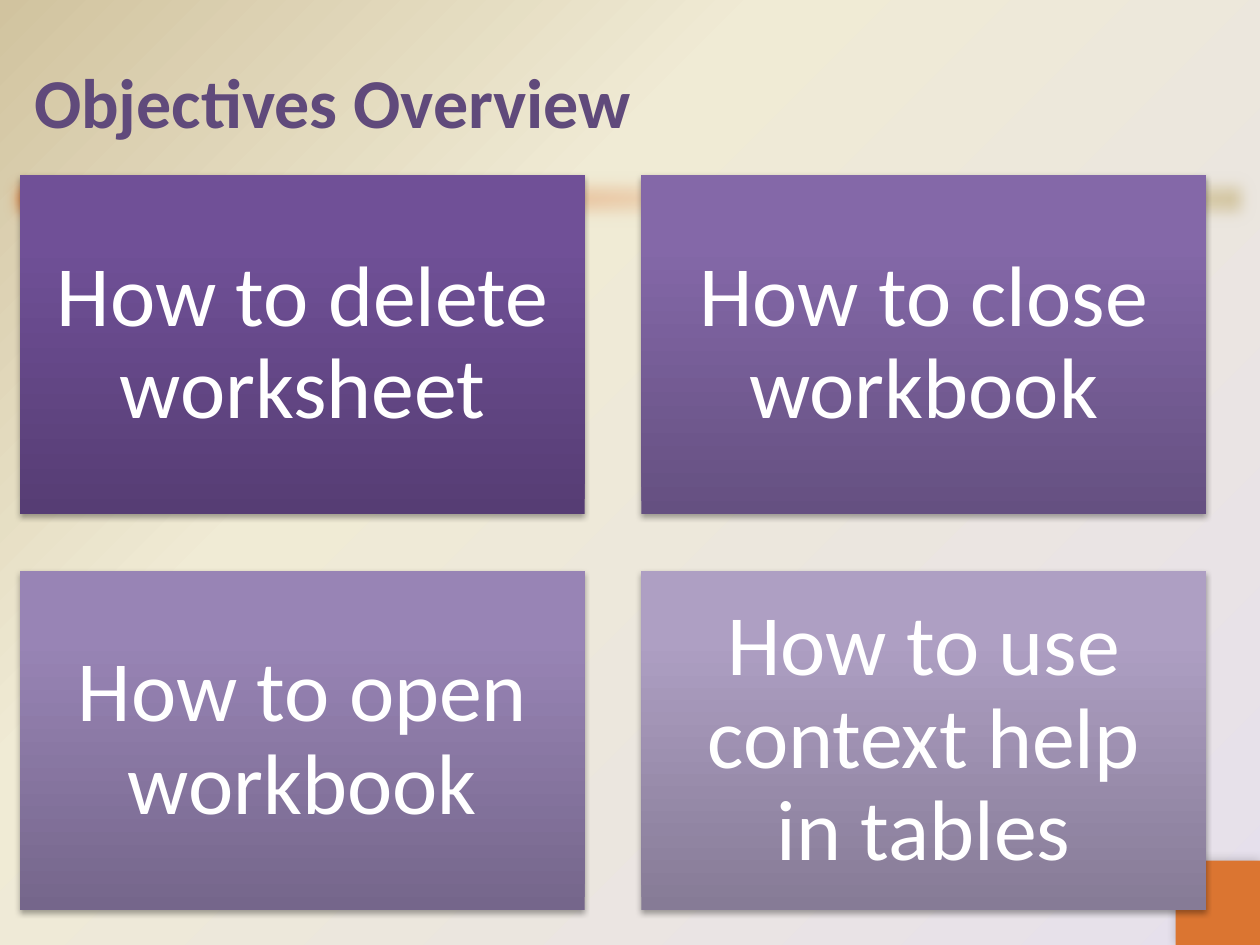
from dataclasses import dataclass

from lxml import etree
from pptx import Presentation
from pptx.dml.color import RGBColor
from pptx.enum.shapes import MSO_SHAPE
from pptx.enum.text import MSO_ANCHOR, PP_ALIGN
from pptx.oxml import parse_xml
from pptx.oxml.ns import nsdecls, qn
from pptx.util import Inches, Pt

RECTANGLE = MSO_SHAPE.RECTANGLE
MIDDLE = MSO_ANCHOR.MIDDLE
LEFT, CENTER = PP_ALIGN.LEFT, PP_ALIGN.CENTER

FONT = "Calibri"
COLORS = {
    "lilac": "E6E0EC",
    "cream": "F0EBD5",
    "sand": "D1C39F",
    "orange": "DB7531",
    "title": "604A7B",
    "white": "FFFFFF",
    "black": "000000",
}
LINEAR = '<a:lin ang="{}" scaled="0"/>'
FROM_BOTTOM_RIGHT = '<a:path path="circle"><a:fillToRect l="100000" t="100000"/></a:path>'

COLUMNS = 2
CARD_LEFT, CARD_TOP = 0.16, 1.39
CARD_WIDTH, CARD_HEIGHT = 4.48, 2.69
CARD_GAP = 0.45


@dataclass
class Objective:
    text: str
    gradient: tuple[str, str, str]


@dataclass
class Shadow:
    opacity: int
    blur: float
    distance: float
    angle: int


OBJECTIVES = [
    Objective("How to delete worksheet", ("563D74", "705097", "704F99")),
    Objective("How to close workbook", ("655081", "8468A8", "8467AA")),
    Objective("How to open workbook", ("75668B", "9884B5", "9984B7")),
    Objective("How to use context help in tables", ("867B96", "AE9FC3", "AE9FC4")),
]
CARD_SHADOW = Shadow(opacity=35, blur=3.1, distance=1.8, angle=90)
CORNER_SHADOW = Shadow(opacity=20, blur=6, distance=0, angle=225)


def set_gradient(properties, colors: tuple[str, str, str], middle: int, direction: str) -> None:
    """Replace the solid fill in a properties element by a three-stop gradient."""
    stops = "".join(
        f'<a:gs pos="{position * 1000}"><a:srgbClr val="{color}"/></a:gs>'
        for position, color in zip((0, middle, 100), colors)
    )
    gradient = parse_xml(
        f'<a:gradFill {nsdecls("a")} rotWithShape="1"><a:gsLst>{stops}</a:gsLst>{direction}</a:gradFill>'
    )
    properties.replace(properties.find(qn("a:solidFill")), gradient)


def add_effect(shape, tag: str, **attributes):
    effects = shape._element.spPr.find(qn("a:effectLst"))
    return etree.SubElement(effects, qn(tag), {key: str(value) for key, value in attributes.items()})


def add_shadow(shape, shadow: Shadow) -> None:
    outer = add_effect(
        shape, "a:outerShdw", blurRad=Pt(shadow.blur), dist=Pt(shadow.distance),
        dir=shadow.angle * 60000, rotWithShape=0,
    )
    color = etree.SubElement(outer, qn("a:srgbClr"), val=COLORS["black"])
    etree.SubElement(color, qn("a:alpha"), val=str(shadow.opacity * 1000))


def add_rectangle(slide, left: float, top: float, width: float, height: float, color: str):
    shape = slide.shapes.add_shape(RECTANGLE, Inches(left), Inches(top), Inches(width), Inches(height))
    shape.fill.solid()
    shape.fill.fore_color.rgb = RGBColor.from_string(color)
    shape.line.fill.background()
    shape.shadow.inherit = False
    return shape


def write_text(shape, text: str, *, size: float, color: str, bold: bool = False,
               align=LEFT, line_spacing: float = 1.0, inset: float | None = None) -> None:
    frame = shape.text_frame
    frame.word_wrap = True
    frame.vertical_anchor = MIDDLE
    if inset is not None:
        frame.margin_left = frame.margin_right = Inches(inset)
        frame.margin_top = frame.margin_bottom = Inches(inset)
    paragraph = frame.paragraphs[0]
    paragraph.alignment = align
    paragraph.line_spacing = line_spacing
    run = paragraph.add_run()
    run.text = text
    run.font.name = FONT
    run.font.size = Pt(size)
    run.font.bold = bold
    run.font.color.rgb = RGBColor.from_string(color)


def paint_background(slide) -> None:
    slide.background.fill.solid()
    properties = slide.element.find(".//" + qn("p:bgPr"))
    colors = (COLORS["lilac"], COLORS["cream"], COLORS["sand"])
    set_gradient(properties, colors, 65, FROM_BOTTOM_RIGHT)


def add_decoration(slide) -> None:
    """Draw the soft band under the title and the square in the corner."""
    band = add_rectangle(slide, 0, 1.33, 10, 0.5, COLORS["orange"])
    colors = (COLORS["orange"], COLORS["cream"], COLORS["sand"])
    set_gradient(band._element.spPr, colors, 65, LINEAR.format(45 * 60000))
    add_effect(band, "a:softEdge", rad=Pt(10))

    corner = add_rectangle(slide, 9.33, 6.83, 0.67, 0.67, COLORS["orange"])
    add_shadow(corner, CORNER_SHADOW)


def add_title(slide, text: str) -> None:
    title = slide.shapes.title
    title.left, title.top = Inches(0.17), Inches(0.17)
    title.width, title.height = Inches(9.67), Inches(1.25)
    write_text(title, text, size=40, color=COLORS["title"], bold=True)


def add_objective(slide, index: int, objective: Objective) -> None:
    row, column = divmod(index, COLUMNS)
    left = CARD_LEFT + column * (CARD_WIDTH + CARD_GAP)
    top = CARD_TOP + row * (CARD_HEIGHT + CARD_GAP)
    card = add_rectangle(slide, left, top, CARD_WIDTH, CARD_HEIGHT, objective.gradient[0])
    set_gradient(card._element.spPr, objective.gradient, 80, LINEAR.format(270 * 60000))
    add_shadow(card, CARD_SHADOW)
    write_text(card, objective.text, size=49, color=COLORS["white"],
               align=CENTER, line_spacing=0.9, inset=0.2)


def main() -> None:
    presentation = Presentation()
    presentation.slide_width, presentation.slide_height = Inches(10), Inches(7.5)
    slide = presentation.slides.add_slide(presentation.slide_layouts[5])
    paint_background(slide)
    add_decoration(slide)
    add_title(slide, "Objectives Overview")
    for index, objective in enumerate(OBJECTIVES):
        add_objective(slide, index, objective)
    presentation.save("out.pptx")


if __name__ == "__main__":
    main()
